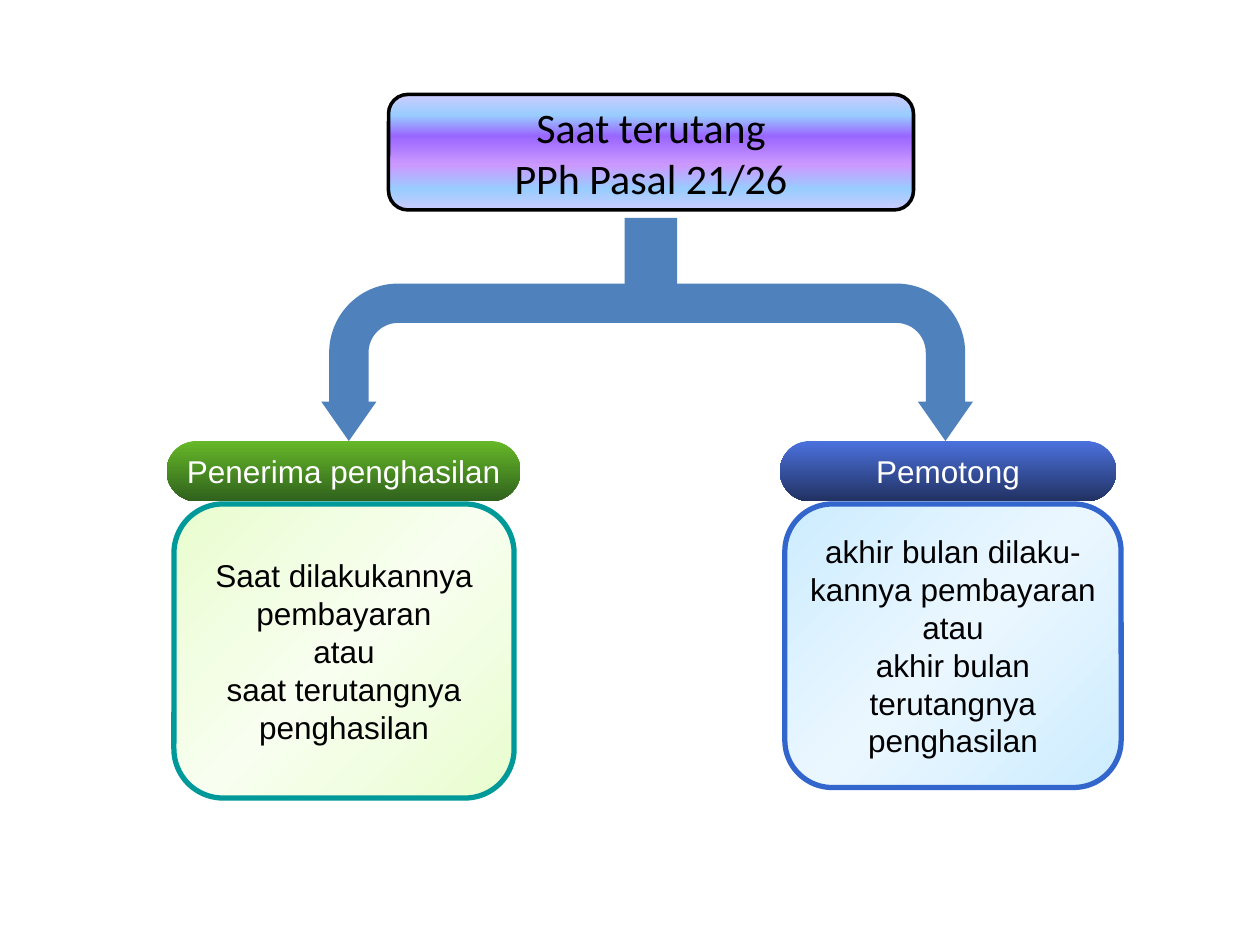
from lxml.etree import SubElement
from pptx import Presentation
from pptx.dml.color import RGBColor as RGB
from pptx.enum.shapes import MSO_SHAPE as SHAPE
from pptx.enum.text import MSO_ANCHOR as ANCHOR, PP_ALIGN as ALIGN
from pptx.oxml.ns import qn
from pptx.util import Pt

COLORS = {"black": "000000", "white": "FFFFFF", "arrow": "4F81BD",
          "teal": "009999", "blue": "3366CC"}

# Gradients as (position in percent, colour)
TITLE_FILL = [(0, "CCCCFF"), (18, "99CCFF"), (36, "9966FF"),
              (61, "CC99FF"), (82, "99CCFF"), (100, "CCCCFF")]
GREEN_HEAD = [(0, "66B828"), (100, "2F611D")]
BLUE_HEAD = [(0, "4B71DD"), (100, "213161")]
GREEN_BODY = [(0, "E9FDCF"), (50, "F8FEF0"), (100, "E9FDCF")]
BLUE_BODY = [(0, "CCECFF"), (50, "EBF7FF"), (100, "CCECFF")]

# Content; places are (left, top, width, height) in points
TITLE = ["Saat terutang", "PPh Pasal 21/26"]
BRANCHES = [
    {"head": "Penerima penghasilan", "head_at": (95.2, 252, 202.3, 34.5),
     "head_fill": GREEN_HEAD,
     "body": ["Saat dilakukannya", "pembayaran", "atau",
              "saat terutangnya", "penghasilan"],
     "body_at": (99.4, 288, 194.4, 168), "body_fill": GREEN_BODY,
     "line": "teal"},
    {"head": "Pemotong", "head_at": (445.7, 252, 192.2, 34.5),
     "head_fill": BLUE_HEAD,
     "body": ["akhir bulan dilaku-", "kannya pembayaran", "atau",
              "akhir bulan", "terutangnya", "penghasilan"],
     "body_at": (448.5, 288, 192.2, 162), "body_fill": BLUE_BODY,
     "line": "blue"},
]
STEM = (357, 124.5, 30, 60)
ARROWS = [((415, 111, 90, 192), False), ((237.6, 108, 90, 198), True)]

prs = Presentation()
prs.slide_width, prs.slide_height = Pt(720), Pt(540)
slide = prs.slides.add_slide(prs.slide_layouts[6])


def add_shape(kind, at, adj=(), color="arrow"):
    sp = slide.shapes.add_shape(kind, *map(Pt, at))
    sp.shadow.inherit = False
    for i, value in enumerate(adj):
        sp.adjustments[i] = value
    sp.fill.solid()
    sp.fill.fore_color.rgb = RGB.from_string(COLORS[color])
    sp.line.fill.background()
    return sp


def set_gradient(sp, stops, angle):
    sp.fill.gradient()
    sp.fill.gradient_angle = 360 - angle
    gs_list = sp._element.spPr.find(qn("a:gradFill")).find(qn("a:gsLst"))
    for gs in list(gs_list):
        gs_list.remove(gs)
    for pos, color in stops:
        gs = SubElement(gs_list, qn("a:gs"), pos=str(pos * 1000))
        SubElement(gs, qn("a:srgbClr"), val=color)


def add_text(sp, lines, size=18, font="Arial", color="black", wrap=False):
    tf = sp.text_frame
    tf.word_wrap = wrap
    tf.vertical_anchor = ANCHOR.MIDDLE
    for i, line in enumerate(lines):
        p = tf.add_paragraph() if i else tf.paragraphs[0]
        p.alignment = ALIGN.CENTER
        r = p.add_run()
        r.text = line
        r.font.size = Pt(size)
        r.font.name = font
        r.font.color.rgb = RGB.from_string(COLORS[color])


def add_box(lines, at, stops, adj, angle=90, line=None, width=3, **text):
    sp = add_shape(SHAPE.ROUNDED_RECTANGLE, at, [adj])
    set_gradient(sp, stops, angle)
    if line:
        sp.line.color.rgb = RGB.from_string(COLORS[line])
        sp.line.width = Pt(width)
    add_text(sp, lines, **text)


# Title
add_box(TITLE, (222, 54, 300, 66), TITLE_FILL, 0.167, line="black", width=2,
        size=24, font="Calibri", wrap=True)

# Forked arrow: two bent arrows and a stem
for at, flipped in ARROWS:
    sp = add_shape(SHAPE.BENT_ARROW, at, (0.25, 0.175, 0.25, 0.438))
    sp.rotation = 90
    if flipped:
        sp._element.spPr.find(qn("a:xfrm")).set("flipV", "1")
add_shape(SHAPE.RECTANGLE, STEM)

# Branches: heading pill above a bordered body
for b in BRANCHES:
    add_box([b["head"]], b["head_at"], b["head_fill"], 0.5, color="white")
    add_box(b["body"], b["body_at"], b["body_fill"], 0.167, angle=45,
            line=b["line"])

prs.save("out.pptx")
